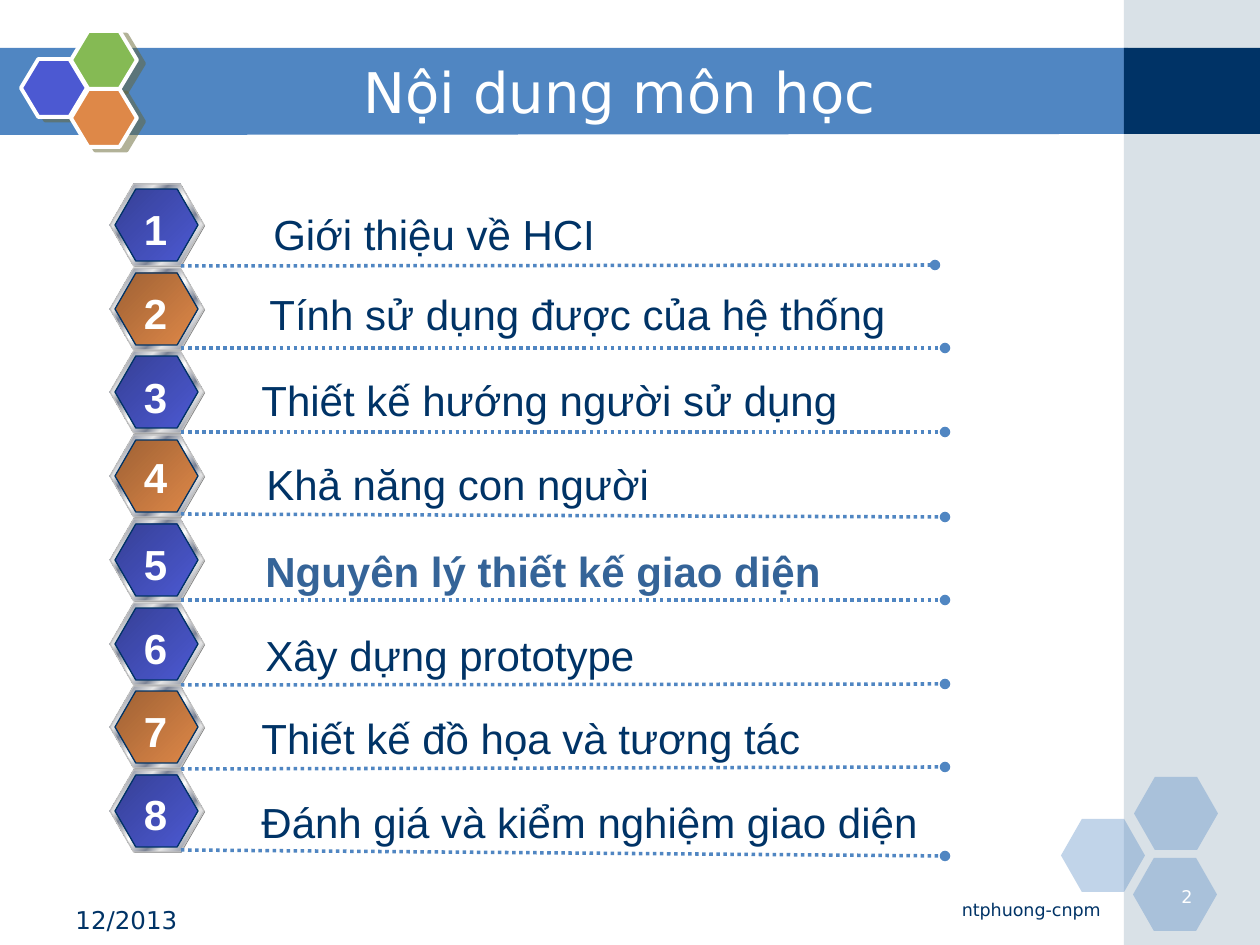
from collections import namedtuple

from lxml import etree
from pptx import Presentation
from pptx.dml.color import RGBColor
from pptx.enum.dml import MSO_LINE
from pptx.enum.shapes import MSO_CONNECTOR, MSO_SHAPE
from pptx.enum.text import MSO_ANCHOR, MSO_AUTO_SIZE, PP_ALIGN
from pptx.oxml.ns import qn
from pptx.util import Pt

HEXAGON, RECTANGLE = MSO_SHAPE.HEXAGON, MSO_SHAPE.RECTANGLE
STRAIGHT, DOTTED = MSO_CONNECTOR.STRAIGHT, MSO_LINE.ROUND_DOT
LEFT, CENTER, RIGHT = PP_ALIGN.LEFT, PP_ALIGN.CENTER, PP_ALIGN.RIGHT
MIDDLE, GROW = MSO_ANCHOR.MIDDLE, MSO_AUTO_SIZE.SHAPE_TO_FIT_TEXT

EMU_PER_PX = 914400 / 126
SLIDE_BOX = (0, 0, 1260, 945)

WHITE = RGBColor(0xFF, 0xFF, 0xFF)
NAVY = RGBColor(0x00, 0x33, 0x66)
STEEL = RGBColor(0x50, 0x86, 0xC2)
MIST = RGBColor(0xA0, 0xB5, 0xC4)
HIGHLIGHT = RGBColor(0x35, 0x64, 0x98)
INDIGO = RGBColor(0x4C, 0x59, 0xD2)
DARK_INDIGO = RGBColor(0x36, 0x40, 0x96)
GREEN = RGBColor(0x85, 0xBA, 0x54)
ORANGE = RGBColor(0xDE, 0x88, 0x48)
BROWN = RGBColor(0x9F, 0x61, 0x34)
OLIVE = RGBColor(0x66, 0x66, 0x33)
GRAY = RGBColor(0x80, 0x80, 0x80)
SILVER = RGBColor(0xC0, 0xC0, 0xC0)
LIGHT_METAL = RGBColor(0xE6, 0xE6, 0xE6)
DARK_METAL = RGBColor(0x7D, 0x84, 0x96)

METAL_STOPS = [
    (0, LIGHT_METAL), (8, DARK_METAL), (26, LIGHT_METAL), (34, DARK_METAL),
    (46, LIGHT_METAL), (50, WHITE), (54, LIGHT_METAL), (66, DARK_METAL),
    (74, LIGHT_METAL), (93, DARK_METAL), (100, LIGHT_METAL),
]
BLUE_STOPS = [(0, DARK_INDIGO), (100, INDIGO)]
ORANGE_STOPS = [(0, BROWN), (100, ORANGE)]

# Offsets within a row: label x, y and width, number y, rule start y, rule end x and y
Topic = namedtuple(
    "Topic", "text stops label_x label_y label_width number_y start_y end_x end_y")
TOPICS = [
    Topic("Giới thiệu về HCI", BLUE_STOPS, 151, 18, 350, 13, 82, 825, 81),
    Topic("Tính sử dụng được của hệ thống", ORANGE_STOPS, 147, 14, 648, 13, 80, 835, 80),
    Topic("Thiết kế hướng người sử dụng", BLUE_STOPS, 139, 17, 607, 14, 81, 835, 81),
    Topic("Khả năng con người", ORANGE_STOPS, 144, 17, 412, 10, 79, 835, 82),
    Topic("Nguyên lý thiết kế giao diện", BLUE_STOPS, 143, 20, 586, 13, 81, 835, 81),
    Topic("Xây dựng prototype", BLUE_STOPS, 143, 20, 410, 13, 82, 835, 81),
    Topic("Thiết kế đồ họa và tương tác", ORANGE_STOPS, 139, 20, 570, 13, 83, 835, 81),
    Topic("Đánh giá và kiểm nghiệm giao diện", BLUE_STOPS, 139, 20, 689, 12, 80, 835, 86),
]
CURRENT_TOPIC = 4


def px(value):
    return round(value * EMU_PER_PX)


def add_color(parent, color, alpha=100):
    element = etree.SubElement(parent, qn("a:srgbClr"), val=str(color))
    etree.SubElement(element, qn("a:alpha"), val=str(alpha * 1000))


def style_shape(shape, fill, line=None, weight=0.75, alpha=100):
    """Fill with one colour or a list of gradient stops."""
    shape.shadow.inherit = False
    if isinstance(fill, list):
        shape.fill.gradient()
        shape.fill.gradient_angle = 315
        stops = shape._element.spPr.find(".//" + qn("a:gsLst"))
        stops.clear()
        for position, color in fill:
            stop = etree.SubElement(stops, qn("a:gs"), pos=str(position * 1000))
            add_color(stop, color)
    else:
        shape.fill.solid()
        shape.fill.fore_color.rgb = fill
        if alpha < 100:
            color_element = shape._element.spPr.find(".//" + qn("a:srgbClr"))
            etree.SubElement(color_element, qn("a:alpha"), val=str(alpha * 1000))
    if line is None:
        shape.line.fill.background()
    else:
        shape.line.color.rgb = line
        shape.line.width = Pt(weight)


def add_preset(slide, kind, box, fill, line=None, weight=0.75, alpha=100, adjustment=0.289):
    shape = slide.shapes.add_shape(kind, *map(px, box))
    if kind == HEXAGON:
        shape.adjustments[0] = adjustment
    style_shape(shape, fill, line, weight, alpha)
    return shape


def add_run(paragraph, text, size, color, font, bold=False):
    run = paragraph.add_run()
    run.text = text
    run.font.size = Pt(size)
    run.font.name = font
    run.font.bold = bold
    run.font.color.rgb = color


def add_text(slide, box, text, size, color, font="DejaVu Sans", bold=False,
             alignment=LEFT, wrap=True):
    frame = slide.shapes.add_textbox(*map(px, box)).text_frame
    frame.word_wrap = wrap
    if not wrap:
        frame.auto_size = GROW
    paragraph = frame.paragraphs[0]
    paragraph.alignment = alignment
    add_run(paragraph, text, size, color, font, bold)


def add_background(slide, box):
    left, top, width, height = box
    # Title band
    builder = slide.shapes.build_freeform(left - 1, top + 48, scale=EMU_PER_PX)
    builder.add_line_segments([(left + 1128, top + 48), (left + 1128, top + 134),
                               (left - 1, top + 135)])
    style_shape(builder.convert_to_shape(), STEEL)
    # Side column
    column_left, column_width = left + 1124, width - 1124
    add_preset(slide, RECTANGLE, (column_left, top, column_width, height), MIST, alpha=40)
    add_preset(slide, RECTANGLE, (column_left, top + 48, column_width, 86), NAVY)
    # Corner hexagons
    for x, y in [(1061, 819), (1134, 777), (1133, 858)]:
        add_preset(slide, HEXAGON, (left + x, top + y, 84, 73), STEEL,
                   alpha=35, adjustment=0.286)


def add_emblem(slide, box):
    left, top, width, height = box
    for x, y, color in [(0, 28, INDIGO), (50, 0, GREEN), (50, 58, ORANGE)]:
        shape = add_preset(slide, HEXAGON, (left + x, top + y, width - 50, height - 58),
                           color, WHITE, 2.25, adjustment=0.3)
        effects = shape._element.spPr.find(qn("a:effectLst"))
        shadow = etree.SubElement(effects, qn("a:outerShdw"), blurRad="0",
                                  dist=str(Pt(4.5)), dir=str(27 * 60000), rotWithShape="0")
        add_color(shadow, OLIVE, 50)


def add_title(slide, box):
    title = slide.shapes.title
    title.left, title.top, title.width, title.height = map(px, box)
    slide.shapes._spTree.append(title._element)  # in front of the band
    frame = title.text_frame
    frame.vertical_anchor = MIDDLE
    paragraph = frame.paragraphs[0]
    paragraph.alignment = CENTER
    add_run(paragraph, "Nội dung môn học", 32, WHITE, "DejaVu Sans")


def add_footer(slide, box):
    left, top, _, _ = box
    add_text(slide, (left, top + 19, 294, 34), "12/2013", 14, NAVY)
    add_text(slide, (left + 1079, top, 63, 32), "2", 10, WHITE, alignment=RIGHT)
    add_text(slide, (left + 650, top + 13, 400, 33), "ntphuong-cnpm", 10, NAVY,
             alignment=RIGHT)


def add_rule(slide, start, end):
    rule = slide.shapes.add_connector(STRAIGHT, *map(px, start + end))
    rule.line.color.rgb = STEEL
    rule.line.width = Pt(2)
    rule.line.dash_style = DOTTED
    properties = rule._element.spPr
    etree.SubElement(properties.find(qn("a:ln")), qn("a:tailEnd"), type="oval")
    etree.SubElement(properties, qn("a:effectLst"))


def add_topic(slide, box, number, topic, current):
    left, top, width, height = box
    # Badge: shade, metal rim, coloured face
    add_preset(slide, HEXAGON, (left + 1, top + 1, width, height), GRAY)
    add_preset(slide, HEXAGON, (left, top, width, height), METAL_STOPS, SILVER)
    add_preset(slide, HEXAGON, (left + 5, top + 5, width - 11, height - 10), topic.stops, NAVY)
    # Rule, label and number
    add_rule(slide, (left + 71, top + topic.start_y), (left + topic.end_x, top + topic.end_y))
    label_box = (left + topic.label_x, top + topic.label_y, topic.label_width, 63)
    add_text(slide, label_box, topic.text, 24, HIGHLIGHT if current else NAVY, "Arial",
             current, wrap=False)
    add_text(slide, (left + 21, top + topic.number_y, 49, 63), str(number), 24, WHITE,
             "Arial", True, CENTER, wrap=False)


def add_topics(slide, box):
    left, top, width, height = box
    badge_height = 82
    for index, topic in enumerate(TOPICS):
        row_top = top + round(index * (height - badge_height) / (len(TOPICS) - 1))
        add_topic(slide, (left, row_top, width, badge_height), index + 1, topic,
                  index == CURRENT_TOPIC)


def main():
    presentation = Presentation()
    presentation.slide_width, presentation.slide_height = map(px, SLIDE_BOX[2:])
    slide = presentation.slides.add_slide(presentation.slide_layouts[5])
    add_background(slide, SLIDE_BOX)
    add_emblem(slide, (21, 31, 116, 116))
    add_title(slide, (158, 52, 924, 78))
    add_footer(slide, (63, 880, 1142, 52))
    add_topics(slide, (110, 184, 94, 668))
    presentation.save("out.pptx")


if __name__ == "__main__":
    main()
